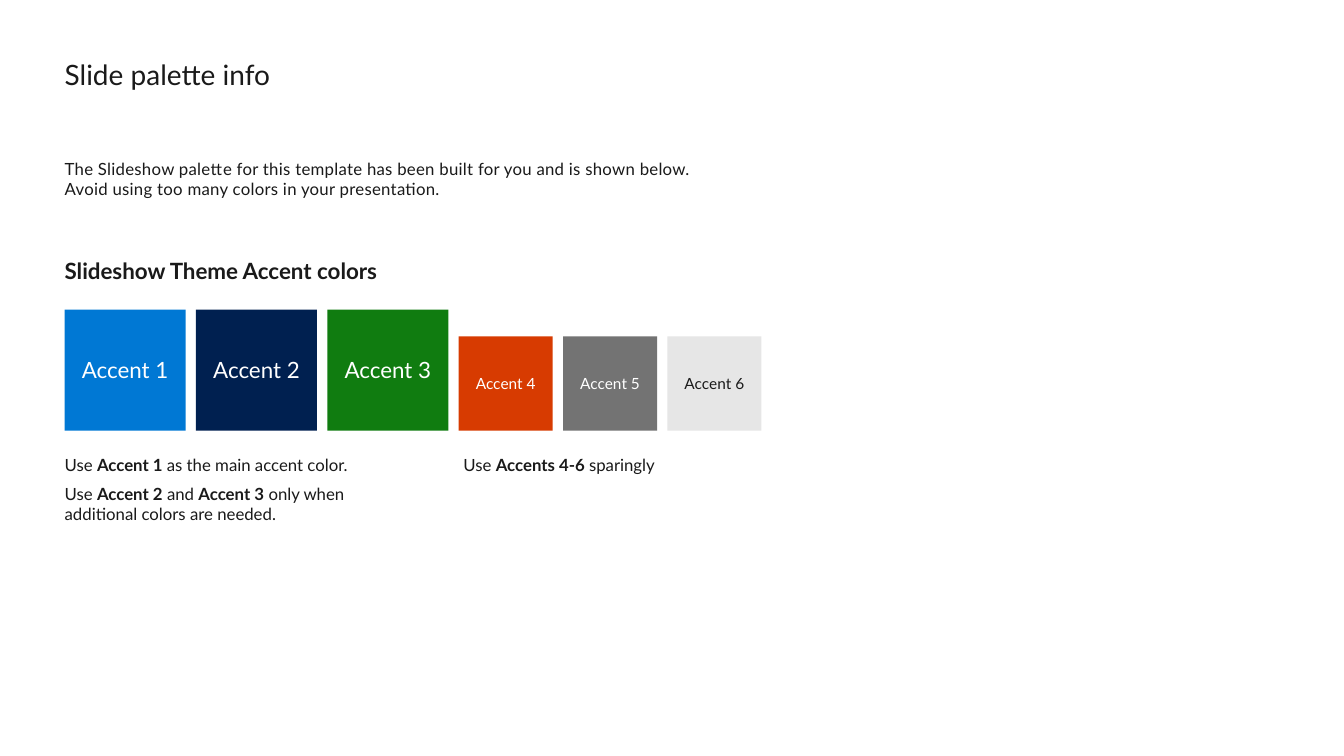
from pptx import Presentation
from pptx.dml.color import RGBColor
from pptx.enum.shapes import MSO_SHAPE
from pptx.enum.text import MSO_ANCHOR, PP_ALIGN
from pptx.util import Cm, Pt

RECTANGLE = MSO_SHAPE.RECTANGLE
TOP, MIDDLE = MSO_ANCHOR.TOP, MSO_ANCHOR.MIDDLE
LEFT, CENTER = PP_ALIGN.LEFT, PP_ALIGN.CENTER

FONT = "Lato"
INK = RGBColor(0x1A, 0x1A, 0x1A)
WHITE = RGBColor(0xFF, 0xFF, 0xFF)
BLUE = RGBColor(0x00, 0x78, 0xD4)
NAVY = RGBColor(0x00, 0x20, 0x50)
GREEN = RGBColor(0x10, 0x7C, 0x10)
ORANGE = RGBColor(0xD7, 0x3B, 0x01)
GRAY = RGBColor(0x73, 0x73, 0x73)
LIGHT_GRAY = RGBColor(0xE6, 0xE6, 0xE6)

MARGIN = 1.63


def style_text(frame, size, color=INK, align=LEFT, anchor=TOP, inset=0.0):
    """Set the insets of a frame and the look of its paragraphs."""
    frame.word_wrap = True
    frame.vertical_anchor = anchor
    frame.margin_left = frame.margin_right = 0
    frame.margin_top = frame.margin_bottom = Cm(inset)
    for paragraph in frame.paragraphs:
        paragraph.alignment = align
        paragraph.font.name = FONT
        paragraph.font.size = Pt(size)
        paragraph.font.color.rgb = color


def add_text(left, top, width, height, lines, size, space_before=0):
    """Add a text box; each line is a list of (text, bold) runs."""
    box = slide.shapes.add_textbox(Cm(left), Cm(top), Cm(width), Cm(height))
    frame = box.text_frame
    for index, runs in enumerate(lines):
        paragraph = frame.add_paragraph() if index else frame.paragraphs[0]
        paragraph.space_before = Pt(space_before)
        for text, bold in runs:
            if text == "\n":
                paragraph.add_line_break()
                continue
            run = paragraph.add_run()
            run.text = text
            run.font.bold = bold
    style_text(frame, size)
    return frame


prs = Presentation()
prs.slide_width, prs.slide_height = Cm(33.87), Cm(19.05)
slide = prs.slides.add_slide(prs.slide_layouts[5])

# Title
title = slide.shapes.title
title.left, title.top, title.width, title.height = Cm(MARGIN), Cm(1.27), Cm(15.3), Cm(1.04)
title.text_frame.text = "Slide palette info"
style_text(title.text_frame, 20)
title.text_frame.margin_top = Cm(0.18)

# Introduction, slightly letter-spaced
intro = add_text(MARGIN, 3.99, 27.66, 1.02, [
    [("The Slideshow palette for this template has been built for you and is shown below.", False)],
    [("Avoid using too many colors in your presentation.", False)],
], 12)
for paragraph in intro.paragraphs:
    for run in paragraph.runs:
        run.font._element.set("spc", "20")

# Section heading
add_text(MARGIN, 6.48, 17.48, 0.69, [[("Slideshow Theme Accent colors", True)]], 16)

# Swatches: three large and three small, sharing one baseline
BASELINE, GAP = 10.85, 0.26
LARGE, SMALL = (3.05, 16), (2.37, 11)
swatches = [
    (BLUE, WHITE, LARGE), (NAVY, WHITE, LARGE), (GREEN, WHITE, LARGE),
    (ORANGE, WHITE, SMALL), (GRAY, WHITE, SMALL), (LIGHT_GRAY, INK, SMALL),
]
swatch_left = MARGIN
for number, (fill, ink, (side, size)) in enumerate(swatches, start=1):
    swatch = slide.shapes.add_shape(
        RECTANGLE, Cm(swatch_left), Cm(BASELINE - side), Cm(side), Cm(side))
    swatch.shadow.inherit = False
    swatch.fill.solid()
    swatch.fill.fore_color.rgb = fill
    swatch.line.fill.background()
    swatch.text_frame.text = f"Accent {number}"
    style_text(swatch.text_frame, size, ink, CENTER, MIDDLE, 0.13)
    swatch_left += side + GAP

# Usage notes
NOTES_TOP = 11.46
add_text(MARGIN, NOTES_TOP, 9.68, 1.75, [
    [("Use ", False), ("Accent 1 ", True), ("as the main accent color.", False)],
    [("Use ", False), ("Accent 2", True), (" and ", False), ("Accent 3", True),
     (" only when ", False), ("\n", False), ("additional colors are needed.", False)],
], 12, space_before=6)
add_text(11.68, NOTES_TOP, 7.72, 0.51, [
    [("Use ", False), ("Accents 4-6 ", True), ("sparingly", False)],
], 12)

prs.save("out.pptx")
